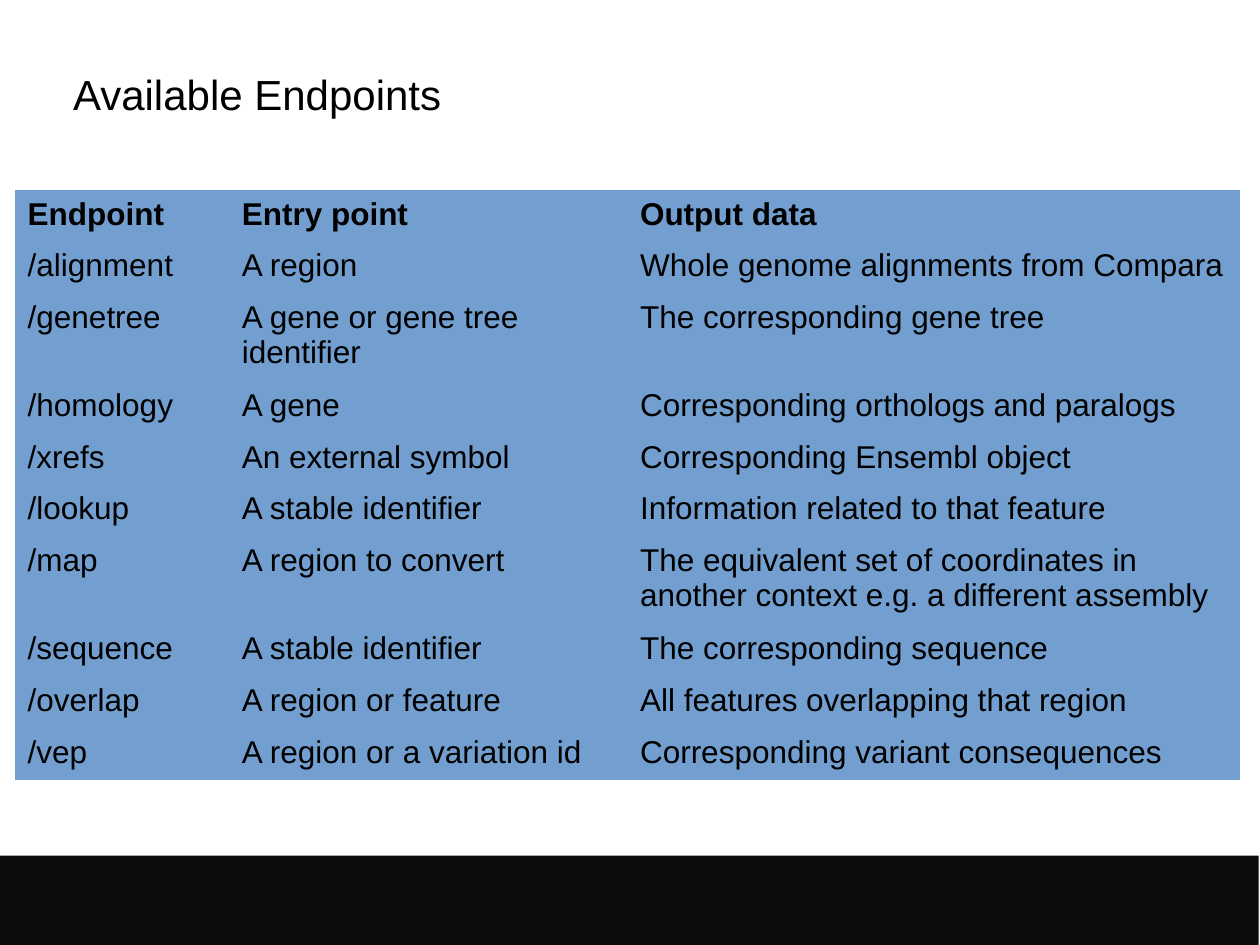
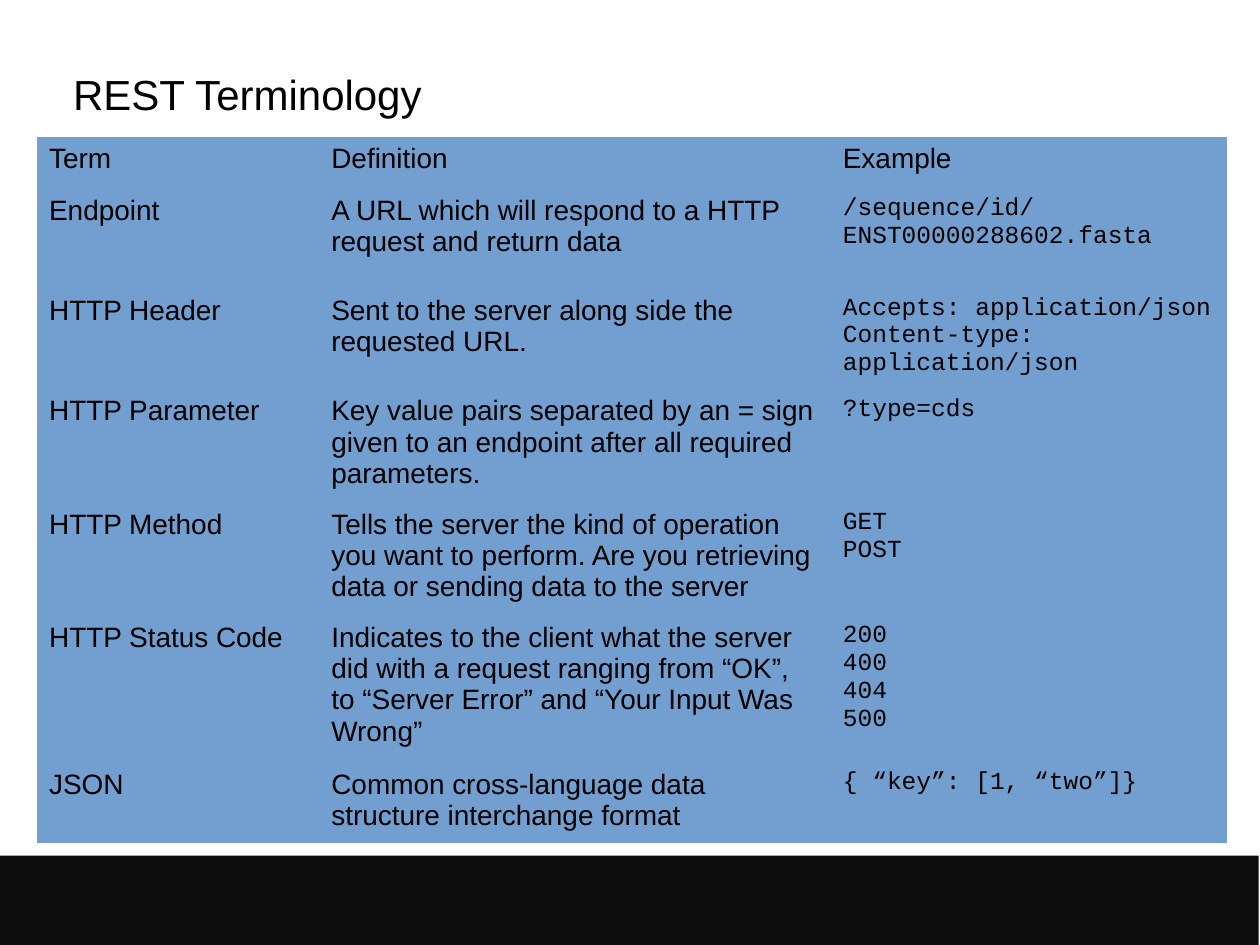
"""Build two slides of REST reference tables: endpoints and terminology."""
from dataclasses import dataclass

from pptx import Presentation
from pptx.dml.color import RGBColor
from pptx.enum.shapes import MSO_SHAPE
from pptx.enum.text import MSO_ANCHOR, MSO_AUTO_SIZE, PP_ALIGN
from pptx.util import Inches, Pt


@dataclass(frozen=True)
class Theme:
    ink: RGBColor = RGBColor(0, 0, 0)
    paper: RGBColor = RGBColor(255, 255, 255)
    band: RGBColor = RGBColor(0x0D, 0x0D, 0x0D)
    cell: RGBColor = RGBColor(0x72, 0x9F, 0xCF)
    font: str = "Arial"
    code_font: str = "Courier New"
    title_size: int = 24
    code_size: int = 14
    plain_table: str = "{2D5ABB26-0587-4C30-8999-92F81FD0307C}"


THEME = Theme()
TITLE_BOX = (0.58, 0.33, 8.92, 0.83)
BAND_BOX = (-0.01, 6.79, 10, 0.71)

ENDPOINTS = [
    ("Endpoint", "Entry point", "Output data"),
    ("/alignment", "A region", "Whole genome alignments from Compara"),
    ("/genetree", "A gene or gene tree identifier", "The corresponding gene tree"),
    ("/homology", "A gene", "Corresponding orthologs and paralogs"),
    ("/xrefs", "An external symbol", "Corresponding Ensembl object"),
    ("/lookup", "A stable identifier", "Information related to that feature"),
    ("/map", "A region to convert",
     "The equivalent set of coordinates in another context e.g. a different assembly"),
    ("/sequence", "A stable identifier", "The corresponding sequence"),
    ("/overlap", "A region or feature", "All features overlapping that region"),
    ("/vep", "A region or a variation id", "Corresponding variant consequences"),
]

TERMS = [
    ("Term", "Definition", "Example"),
    ("Endpoint", "A URL which will respond to a HTTP request and return data",
     "/sequence/id/ENST00000288602.fasta"),
    ("HTTP Header", "Sent to the server along side the requested URL.",
     "Accepts: application/json\nContent-type: application/json"),
    ("HTTP Parameter",
     "Key value pairs separated by an = sign given to an endpoint after all "
     "required parameters.",
     "?type=cds"),
    ("HTTP Method",
     "Tells the server the kind of operation you want to perform. Are you "
     "retrieving data or sending data to the server",
     "GET\nPOST"),
    ("HTTP Status Code",
     "Indicates to the client what the server did with a request ranging from "
     "“OK”, to “Server Error” and “Your Input Was Wrong”",
     "200\n400\n404\n500"),
    ("JSON", "Common cross-language data structure interchange format",
     "{ “key”: [1, “two”]}"),
]

SLIDES = [
    dict(title="Available Endpoints", rows=ENDPOINTS, origin=(0.12, 1.51),
         widths=(1.7, 3.16, 4.86), size=18, bold_header=True, code_column=None,
         heights=[0.67 if row[0] in ("/genetree", "/map") else 0.41
                  for row in ENDPOINTS]),
    dict(title="REST Terminology", rows=TERMS, origin=(0.29, 1.09),
         widths=(2.24, 4.06, 3.15), size=16, bold_header=False, code_column=2,
         heights=[0.41, 0.79, 0.79, 0.85, 0.85, 1.16, 0.6]),
]


def inches(values):
    return [Inches(value) for value in values]


def add_run(paragraph, text, font_name, size, bold=False):
    run = paragraph.add_run()
    run.text = text
    run.font.name = font_name
    run.font.size = Pt(size)
    run.font.bold = bold
    run.font.color.rgb = THEME.ink


def add_band(slide):
    band = slide.shapes.add_shape(MSO_SHAPE.RECTANGLE, *inches(BAND_BOX))
    band.shadow.inherit = False
    band.fill.solid()
    band.fill.fore_color.rgb = THEME.band
    band.line.fill.background()


def set_title(slide, text):
    title = slide.shapes.title
    title.left, title.top, title.width, title.height = inches(TITLE_BOX)
    frame = title.text_frame
    frame.margin_left = frame.margin_right = frame.margin_top = frame.margin_bottom = 0
    frame.vertical_anchor = MSO_ANCHOR.MIDDLE
    frame.word_wrap = True
    frame.auto_size = MSO_AUTO_SIZE.SHAPE_TO_FIT_TEXT
    paragraph = frame.paragraphs[0]
    paragraph.alignment = PP_ALIGN.LEFT
    add_run(paragraph, text, THEME.font, THEME.title_size)


def fill_cell(cell, text, font_name, size, bold):
    cell.fill.solid()
    cell.fill.fore_color.rgb = THEME.cell
    frame = cell.text_frame
    for index, line in enumerate(text.split("\n")):
        paragraph = frame.add_paragraph() if index else frame.paragraphs[0]
        add_run(paragraph, line, font_name, size, bold)


def add_reference_table(slide, content):
    rows, widths, heights = content["rows"], content["widths"], content["heights"]
    table = slide.shapes.add_table(
        len(rows), len(widths), *inches(content["origin"]),
        Inches(sum(widths)), Inches(sum(heights))).table
    table.first_row = table.horz_banding = False
    table._tbl.tblPr.find("{*}tableStyleId").text = THEME.plain_table
    for column, width in zip(table.columns, inches(widths)):
        column.width = width
    for row, height in zip(table.rows, inches(heights)):
        row.height = height
    for row_index, row in enumerate(rows):
        for column_index, text in enumerate(row):
            is_code = row_index > 0 and column_index == content["code_column"]
            fill_cell(table.cell(row_index, column_index), text,
                      THEME.code_font if is_code else THEME.font,
                      THEME.code_size if is_code else content["size"],
                      content["bold_header"] and row_index == 0)


def main():
    presentation = Presentation()
    presentation.slide_width, presentation.slide_height = Inches(10), Inches(7.5)
    title_only = presentation.slide_layouts[5]
    for content in SLIDES:
        slide = presentation.slides.add_slide(title_only)
        slide.background.fill.solid()
        slide.background.fill.fore_color.rgb = THEME.paper
        add_band(slide)
        set_title(slide, content["title"])
        add_reference_table(slide, content)
    presentation.save("out.pptx")


if __name__ == "__main__":
    main()
